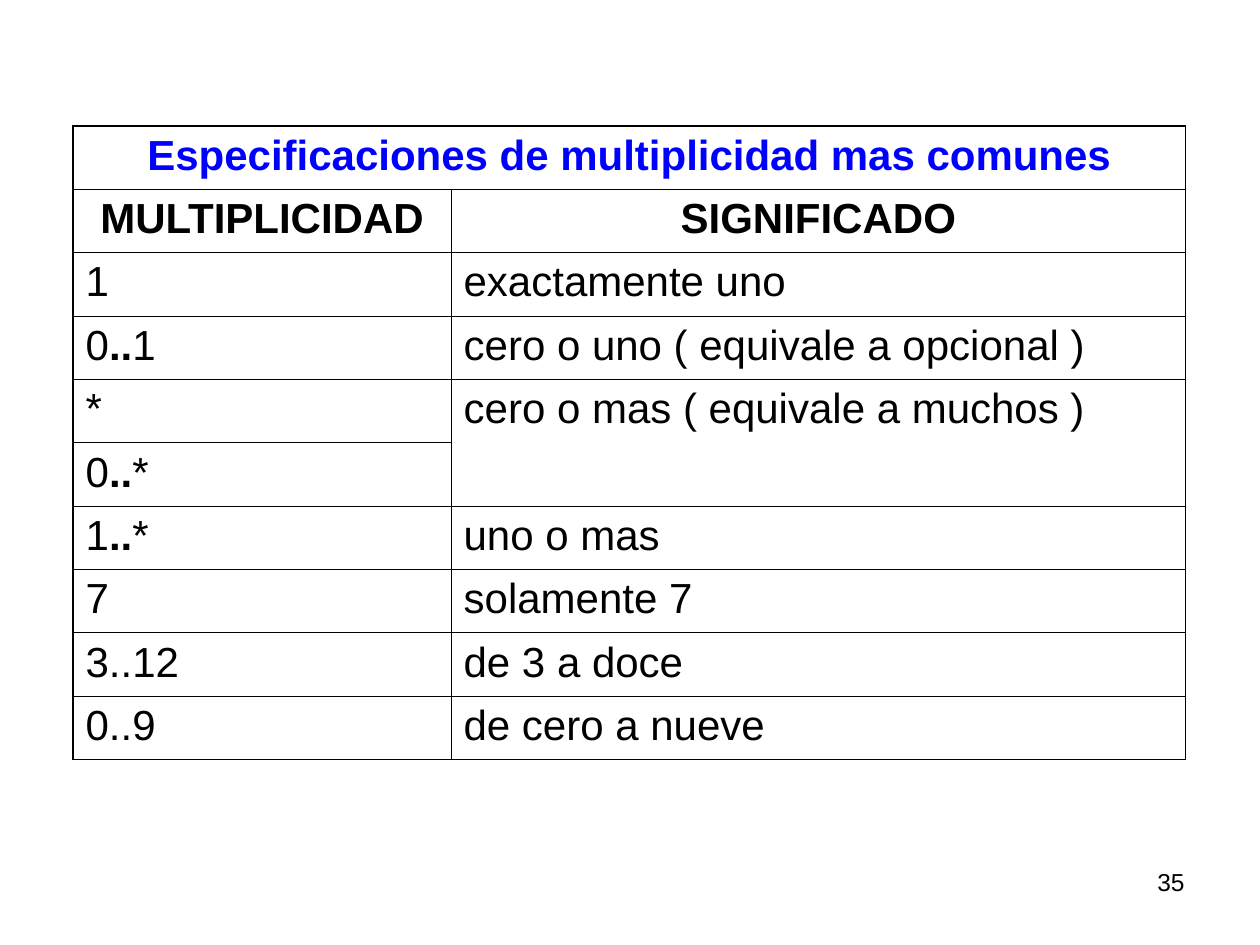
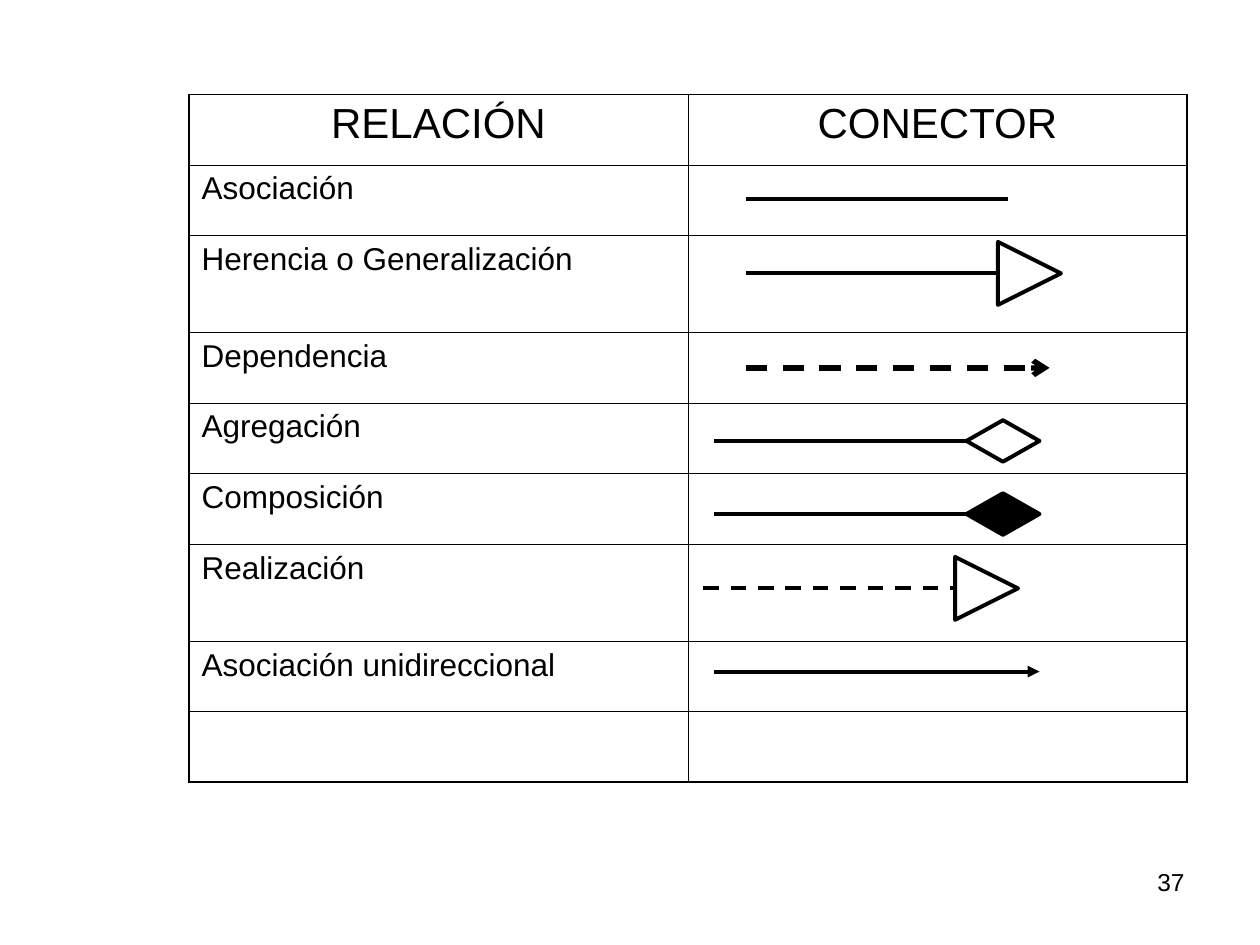
"""Build two slides on class-diagram multiplicity and connectors."""
from lxml.etree import SubElement
from pptx import Presentation
from pptx.dml.color import RGBColor
from pptx.enum.dml import MSO_LINE
from pptx.enum.shapes import MSO_CONNECTOR, MSO_SHAPE
from pptx.enum.text import PP_ALIGN
from pptx.oxml import parse_xml
from pptx.oxml.ns import nsdecls, qn
from pptx.util import Inches, Pt

BLACK = RGBColor(0, 0, 0)
BLUE = RGBColor(0, 0, 0xFF)
FONT = "Arial"
OUTER, INNER = 1.08, 0.45

MULTIPLICITIES = [
    ("Especificaciones de multiplicidad mas comunes", ""),
    ("MULTIPLICIDAD", "SIGNIFICADO"),
    ("1", "exactamente uno"),
    ("0|..|1", "cero o uno ( equivale a opcional )"),
    ("*", "cero o mas ( equivale a muchos )"),
    ("0|..|*", ""),
    ("1|..|*", "uno o mas"),
    ("7", "solamente 7"),
    ("3..12", "de 3 a doce"),
    ("0..9", "de cero a nueve"),
]
RELATIONS = ["Asociación", "Herencia o Generalización", "Dependencia", "Agregación",
             "Composición", "Realización", "Asociación unidireccional", ""]
RELATION_ROWS = [0.56, 0.56, 0.77, 0.56, 0.56, 0.56, 0.77, 0.56, 0.56]


def style_font(p, size, color=BLACK, bold=None):
    """Give a paragraph the deck font."""
    p.font.name, p.font.size, p.font.color.rgb = FONT, Pt(size), color
    if bold is not None:
        p.font.bold = bold


def write_cell(cell, text, size, color=BLACK, bold=None, align=PP_ALIGN.LEFT):
    """Fill a cell, with every second piece between bars in bold."""
    p = cell.text_frame.paragraphs[0]
    p.alignment = align
    style_font(p, size, color, bold)
    for i, piece in enumerate(text.split("|")):
        r = p.add_run()
        r.text = piece
        if i % 2:
            r.font.bold = True


def border_cell(cell, widths):
    """Draw the left, right, top and bottom borders of a cell."""
    tc_pr = cell._tc.get_or_add_tcPr()
    for i, (side, width) in enumerate(zip("LRTB", widths)):
        tc_pr.insert(i, parse_xml(
            f'<a:ln{side} {nsdecls("a")} w="{Pt(width)}"><a:solidFill>'
            f'<a:srgbClr val="{BLACK}"/></a:solidFill></a:ln{side}>'))


def add_grid(s, left, top, cols, rows):
    """Add an unfilled table with heavier outer borders."""
    frame = s.shapes.add_table(len(rows), len(cols), Inches(left), Inches(top),
                               Inches(sum(cols)), Inches(sum(rows)))
    table = frame.table
    table.first_row = table.horz_banding = False
    for column, width in zip(table.columns, cols):
        column.width = Inches(width)
    for row, height in zip(table.rows, rows):
        row.height = Inches(height)
    last_row, last_col = len(rows) - 1, len(cols) - 1
    for i in range(len(rows)):
        for j in range(len(cols)):
            cell = table.cell(i, j)
            cell.fill.background()
            edges = (j == 0, j == last_col, i == 0, i == last_row)
            border_cell(cell, [OUTER if edge else INNER for edge in edges])
    return table


def add_page_number(s, number):
    """Place the page number at the bottom right."""
    tf = s.shapes.add_textbox(Inches(7.17), Inches(6.83), Inches(2.33), Inches(0.52)).text_frame
    tf.word_wrap = True
    p = tf.paragraphs[0]
    p.text = str(number)
    p.alignment = PP_ALIGN.RIGHT
    style_font(p, 14)


def add_line(s, x, y, length, width=2.25, dashed=False, head=None):
    """Add a horizontal line with an optional dash and arrowhead."""
    c = s.shapes.add_connector(MSO_CONNECTOR.STRAIGHT, Inches(x), Inches(y),
                               Inches(x + length), Inches(y))
    c.line.color.rgb, c.line.width = BLACK, Pt(width)
    if dashed:
        c.line.dash_style = MSO_LINE.DASH
    sp_pr = c.element.spPr
    if head:
        SubElement(sp_pr.find(qn("a:ln")), qn("a:tailEnd"), type=head)
    SubElement(sp_pr, qn("a:effectLst"))
    return c


def add_tip(s, kind, x, y, width, height, filled=False):
    """Add an end symbol whose left side is centred on x, y."""
    sp = s.shapes.add_shape(kind, Inches(x), Inches(y - height / 2),
                            Inches(width), Inches(height))
    sp.shadow.inherit = False
    if filled:
        sp.fill.solid()
        sp.fill.fore_color.rgb = BLACK
    else:
        sp.fill.background()
    sp.line.color.rgb, sp.line.width = BLACK, Pt(2.25)
    return sp


def add_triangle_connector(s, x, y, dashed=False):
    """Draw a line ending in a hollow triangle."""
    add_line(s, x, y, 2, dashed=dashed)
    add_tip(s, MSO_SHAPE.ISOSCELES_TRIANGLE, x + 2, y, 0.5, 0.5).rotation = 90


def add_diamond_connector(s, x, y, filled=False):
    """Draw a line joined to a diamond."""
    c = add_line(s, x, y, 2)
    c.end_connect(add_tip(s, MSO_SHAPE.DIAMOND, x + 2, y, 0.58, 0.33, filled), 1)


def add_connectors(s, left, top):
    """Draw the connector symbols relative to the table corner."""
    add_line(s, left + 4.42, top + 0.83, 2.08)
    add_triangle_connector(s, left + 4.42, top + 1.42)
    add_line(s, left + 4.42, top + 2.17, 2.41, width=3, dashed=True, head="arrow")
    add_diamond_connector(s, left + 4.17, top + 2.75)
    add_diamond_connector(s, left + 4.17, top + 3.33, filled=True)
    add_triangle_connector(s, left + 4.08, top + 3.92, dashed=True)
    add_line(s, left + 4.17, top + 4.58, 2.58, head="triangle")


def add_multiplicity_slide(s, left, top, height):
    """Build the table of multiplicities."""
    count = len(MULTIPLICITIES)
    table = add_grid(s, left, top, [3, 5.83], [height / count] * count)
    table.cell(0, 0).merge(table.cell(0, 1))
    table.cell(4, 1).merge(table.cell(5, 1))
    for i, row in enumerate(MULTIPLICITIES):
        for j, text in enumerate(row):
            if text:
                heading = i < 2
                write_cell(table.cell(i, j), text, 24, BLACK if i else BLUE, heading or None,
                           PP_ALIGN.CENTER if heading else PP_ALIGN.LEFT)


def add_relation_slide(s, left, top):
    """Build the table of relations and their connectors."""
    table = add_grid(s, left, top, [3.96, 3.96], RELATION_ROWS)
    for j, heading in enumerate(["RELACIÓN", "CONECTOR"]):
        write_cell(table.cell(0, j), heading, 24, align=PP_ALIGN.CENTER)
    for i, relation in enumerate(RELATIONS, 1):
        if relation:
            write_cell(table.cell(i, 0), relation, 18)
    add_connectors(s, left, top)


def main():
    """Build and save the deck."""
    prs = Presentation()
    prs.slide_width, prs.slide_height = Inches(10), Inches(7.5)
    blank = prs.slide_layouts[6]
    s = prs.slides.add_slide(blank)
    add_multiplicity_slide(s, 0.58, 1, 5.03)
    add_page_number(s, 35)
    s = prs.slides.add_slide(blank)
    add_relation_slide(s, 1.5, 0.75)
    add_page_number(s, 37)
    prs.save("out.pptx")


if __name__ == "__main__":
    main()
